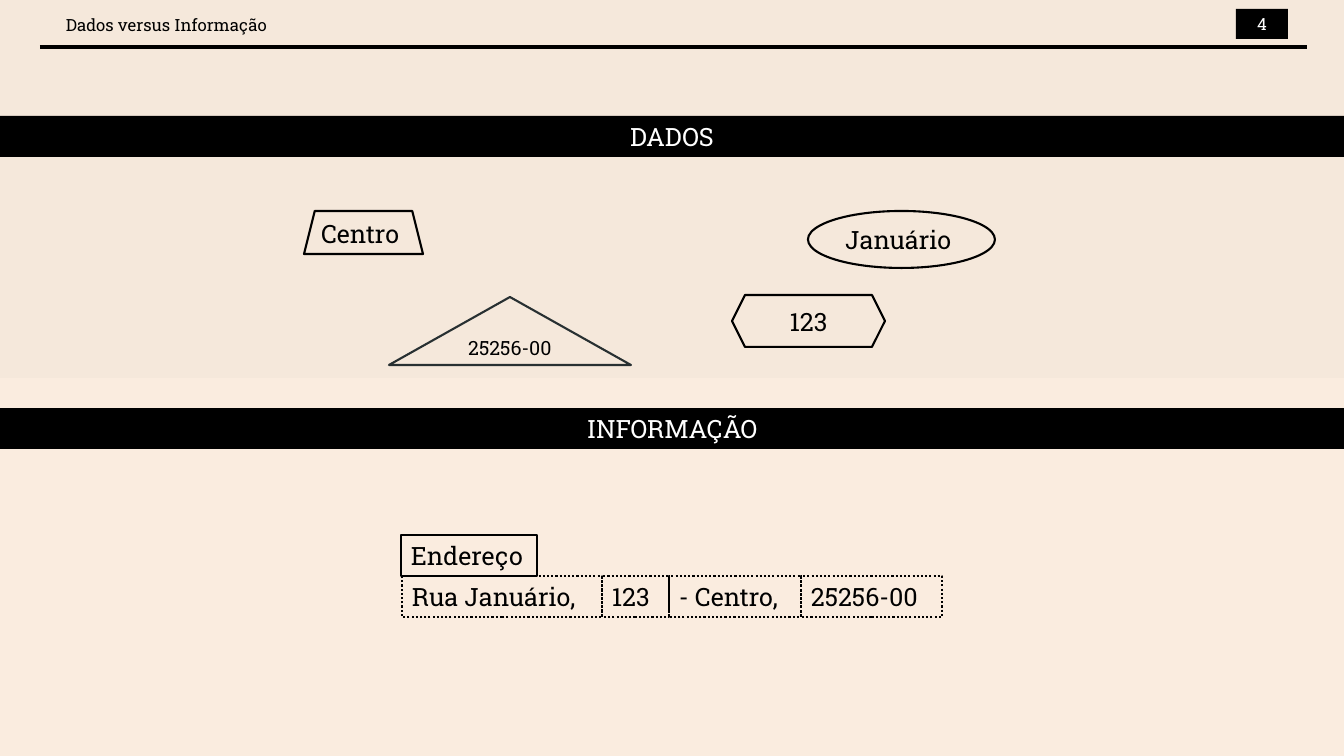
from dataclasses import dataclass

from lxml.etree import SubElement
from pptx import Presentation
from pptx.dml.color import RGBColor
from pptx.enum.dml import MSO_LINE
from pptx.enum.shapes import MSO_CONNECTOR, MSO_SHAPE as Shape
from pptx.enum.text import MSO_ANCHOR, PP_ALIGN as Align
from pptx.oxml.ns import qn
from pptx.util import Emu, Pt


@dataclass(frozen=True)
class Theme:
    """Colours, font, type sizes and line widths."""
    black: str = "000000"
    white: str = "FFFFFF"
    slate: str = "283032"
    sand_top: str = "F5E8DB"
    sand_bottom: str = "FAECDF"
    font: str = "Roboto Slab"
    small: int = 12
    medium: int = 14
    large: int = 18
    rule: float = 2.25
    outline: float = 1.5


def px(n):
    """Turn pixels at 100.8 to the inch into EMU."""
    return Emu(round(n * 914400 / 100.8))


def rgb(colour):
    """Turn a hex string into a colour."""
    return RGBColor.from_string(colour)


class Deck:
    """Draws elements on the current slide in one style."""

    def __init__(self, prs, theme):
        self.theme = theme
        self.slide = prs.slides.add_slide(prs.slide_layouts[6])

    def set_text(self, sp, text, *, size=None, colour=None, align=Align.LEFT):
        """Put one formatted line of text in a shape."""
        tf = sp.text_frame
        tf.word_wrap = True
        tf.vertical_anchor = MSO_ANCHOR.MIDDLE
        tf.margin_top = tf.margin_bottom = 0
        p = tf.paragraphs[0]
        p.alignment = align
        r = p.add_run()
        r.text = text
        r.font.name = self.theme.font
        r.font.size = Pt(size or self.theme.large)
        r.font.color.rgb = rgb(colour or self.theme.black)

    def shape(self, kind, box):
        """Add a preset shape without shadow, fill or line."""
        sp = self.slide.shapes.add_shape(kind, *map(px, box))
        sp.shadow.inherit = False
        sp.fill.background()
        sp.line.fill.background()
        return sp

    def backdrop(self, width, height):
        """Add the vertical gradient behind everything."""
        sp = self.shape(Shape.RECTANGLE, (0, 0, width, height))
        sp.fill.gradient()
        sp.fill.gradient_angle = 270
        colours = self.theme.sand_top, self.theme.sand_bottom
        for stop, colour in zip(sp.fill.gradient_stops, colours):
            stop.color.rgb = rgb(colour)

    def rule(self, x1, x2, y):
        """Add a horizontal line."""
        c = self.slide.shapes.add_connector(
            MSO_CONNECTOR.STRAIGHT, px(x1), px(y), px(x2), px(y))
        c.line.color.rgb = rgb(self.theme.black)
        c.line.width = Pt(self.theme.rule)
        SubElement(c._element.spPr, qn("a:effectLst"))

    def label(self, text, box, **fmt):
        """Add a plain text box."""
        self.set_text(self.slide.shapes.add_textbox(*map(px, box)), text, **fmt)

    def band(self, text, box, **fmt):
        """Add a black rectangle with centred white text."""
        sp = self.shape(Shape.RECTANGLE, box)
        sp.fill.solid()
        sp.fill.fore_color.rgb = rgb(self.theme.black)
        self.set_text(sp, text, colour=self.theme.white, align=Align.CENTER, **fmt)

    def outlined(self, kind, text, box, *, line=None, dash=None, **fmt):
        """Add an unfilled outlined shape with text."""
        sp = self.shape(kind, box)
        sp.line.color.rgb = rgb(line or self.theme.black)
        sp.line.width = Pt(self.theme.outline)
        if dash:
            sp.line.dash_style = dash
        self.set_text(sp, text, **fmt)


def main():
    """Build the slide and save it."""
    width, height, row = 1344, 756, 41
    theme = Theme()
    prs = Presentation()
    prs.slide_width, prs.slide_height = px(width), px(height)
    deck = Deck(prs, theme)

    deck.backdrop(width, height)
    deck.rule(40, 1307, 47)
    deck.label("Dados versus Informação", (56, 10, 238, 30), size=theme.small)
    deck.band("4", (1236, 9, 52, 30), size=theme.small)

    for title, top in (("DADOS", 116), ("INFORMAÇÃO", 408)):
        deck.band(title, (0, top, width, row))

    deck.outlined(Shape.OVAL, "Januário", (808, 211, 187, 57))
    deck.outlined(Shape.TRAPEZOID, "Centro", (304, 211, 119, 43))
    deck.outlined(Shape.HEXAGON, "123", (732, 295, 153, 52), align=Align.CENTER)
    deck.outlined(Shape.ISOSCELES_TRIANGLE, "25256-00", (389, 297, 242, 68),
                  line=theme.slate, size=theme.medium, align=Align.CENTER)

    top = 535
    deck.outlined(Shape.RECTANGLE, "Endereço", (401, top, 136, row))
    left = 402
    address = (("Rua Januário,", 200), ("123", 67), ("- Centro,", 132), ("25256-00", 141))
    for text, w in address:
        deck.outlined(Shape.RECTANGLE, text, (left, top + row, w, row),
                      dash=MSO_LINE.ROUND_DOT)
        left += w

    prs.save("out.pptx")


if __name__ == "__main__":
    main()
